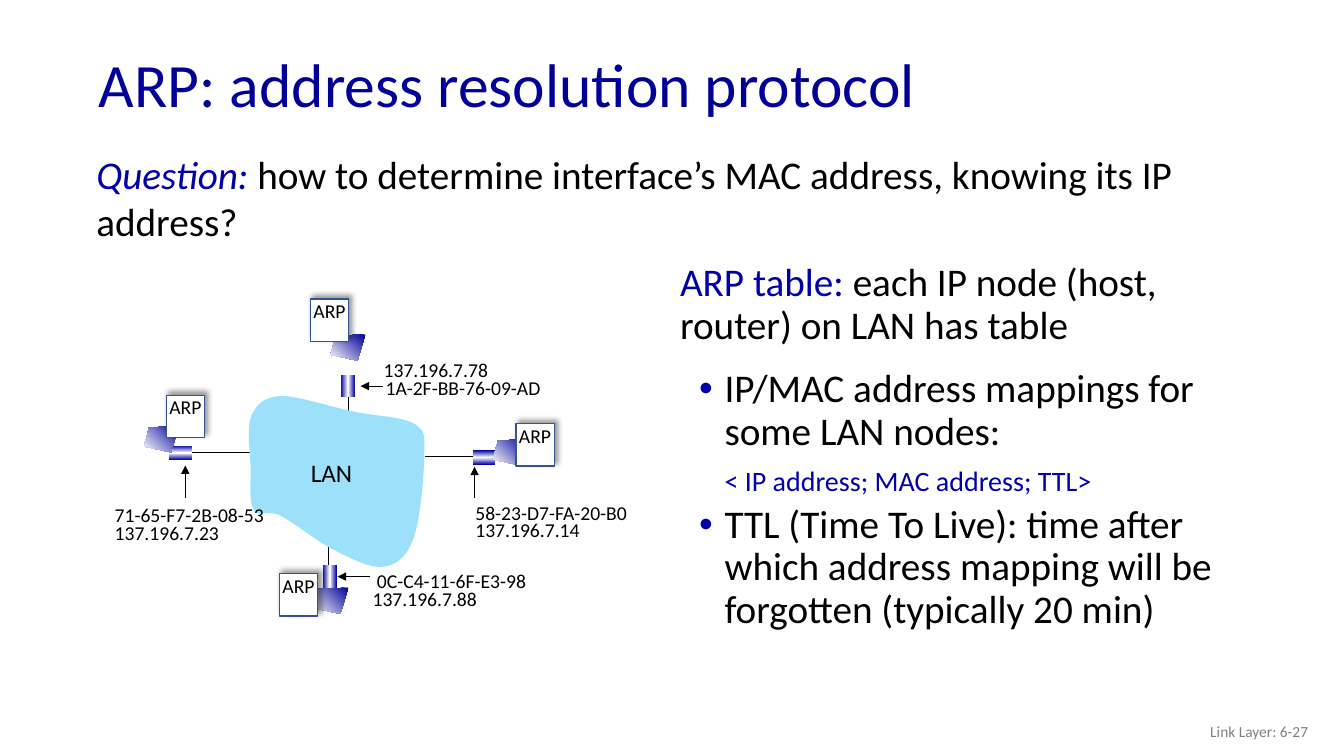
"""Build the slide on ARP, with a LAN diagram and the contents of an ARP table."""
from lxml.etree import SubElement
from pptx import Presentation
from pptx.dml.color import RGBColor
from pptx.enum.shapes import MSO_CONNECTOR, MSO_SHAPE
from pptx.enum.text import MSO_ANCHOR, PP_ALIGN
from pptx.oxml.ns import qn
from pptx.util import Cm, Pt

COLORS = {
    "title": "000099", "accent": "0000A8", "text": "000000", "footer": "808080",
    "lan": "9CE0FA", "white": "FFFFFF", "cache_line": "325491",
}
FONT = "Calibri"

deck = Presentation()
deck.slide_width, deck.slide_height = Cm(33.87), Cm(19.05)
slide = deck.slides.add_slide(deck.slide_layouts[6])
shapes = slide.shapes


def add_text(left, top, width, height, paragraphs, size):
    """Add a text box whose paragraphs are lists of (text, colour name)."""
    frame = shapes.add_textbox(Cm(left), Cm(top), Cm(width), Cm(height)).text_frame
    frame.word_wrap = True
    for index, pieces in enumerate(paragraphs):
        paragraph = frame.add_paragraph() if index else frame.paragraphs[0]
        for text, color in pieces:
            run = paragraph.add_run()
            run.text = text
            run.font.name, run.font.size = FONT, Pt(size)
            run.font.color.rgb = RGBColor.from_string(COLORS[color])
    return frame


def fill_gradient(shape, stops, angle):
    """Fill a shape with evenly spaced gradient stops and no outline."""
    shape.shadow.inherit = False
    shape.line.fill.background()
    shape.fill.gradient()
    shape.fill.gradient_angle = angle
    stop_list = shape._element.spPr.find(qn("a:gradFill")).find(qn("a:gsLst"))
    for stop in list(stop_list):
        stop_list.remove(stop)
    for index, color in enumerate(stops):
        position = str(100000 * index // (len(stops) - 1))
        stop = SubElement(stop_list, qn("a:gs"), pos=position)
        SubElement(stop, qn("a:srgbClr"), val=COLORS[color])


title = add_text(2.24, 0.97, 29.21, 2.49,
                 [[("ARP: address resolution protocol", "title")]], 44)
title.vertical_anchor = MSO_ANCHOR.MIDDLE
title.paragraphs[0].line_spacing = 0.9

footer = add_text(25.6, 17.91, 7.62, 1.02, [[("Link Layer: 6-27", "footer")]], 11)
footer.vertical_anchor = MSO_ANCHOR.MIDDLE
footer.paragraphs[0].alignment = PP_ALIGN.RIGHT

table_intro = add_text(16.89, 6.5, 14.43, 2.64, [[
    ("ARP table: ", "accent"),
    ("each IP node (host, router) on LAN has table", "text")]], 28)
table_intro.paragraphs[0].line_spacing = 0.9

question = add_text(2.18, 3.66, 30.66, 2.64, [[
    ("Question: ", "accent"),
    ("how to determine interface’s MAC address, knowing its IP address?", "text")]], 28)
question.paragraphs[0].runs[0].font.italic = True

links = [
    (4.83, 11.4, 6.83, 11.4, False),
    (8.79, 9.45, 8.79, 10.85, False),
    (8.28, 14.53, 8.28, 13.61, False),
    (12.47, 11.51, 10.72, 11.51, False),
    (11.96, 12.55, 11.96, 11.76, True),
    (9.32, 14.53, 8.51, 14.53, True),
    (4.67, 12.55, 4.67, 11.73, True),
    (9.65, 9.73, 9.09, 9.73, True),
]
for x1, y1, x2, y2, is_arrow in links:
    link = shapes.add_connector(MSO_CONNECTOR.STRAIGHT, Cm(x1), Cm(y1), Cm(x2), Cm(y2))
    link.line.color.rgb = RGBColor.from_string(COLORS["text"])
    link.line.width = Pt(0.75)
    if is_arrow:
        SubElement(link.line._get_or_add_ln(), qn("a:tailEnd"), type="triangle")
    SubElement(link._element.spPr, qn("a:effectLst"))

lan_start = (7.06, 9.98)
lan_curves = [
    ((6.63, 10.01), (6.45, 10.21), (6.32, 10.52)),
    ((6.22, 10.8), (6.3, 11.4), (6.32, 11.79)),
    ((6.32, 12.17), (6.27, 12.65), (6.4, 12.85)),
    ((6.53, 13.06), (6.73, 12.83), (7.09, 13)),
    ((7.42, 13.18), (8.05, 13.69), (8.48, 13.89)),
    ((8.94, 14.12), (9.4, 14.35), (9.73, 14.27)),
    ((10.03, 14.22), (10.29, 13.97), (10.44, 13.51)),
    ((10.59, 13.06), (10.69, 11.99), (10.69, 11.51)),
    ((10.69, 11.05), (10.77, 10.9), (10.46, 10.69)),
    ((10.16, 10.49), (9.42, 10.49), (8.86, 10.36)),
    ((8.28, 10.24), (7.47, 9.96), lan_start),
]
STEPS = 10
lan_points = []
curve_start = lan_start
for control1, control2, curve_end in lan_curves:
    for step in range(1, STEPS + 1):
        t = step / STEPS
        lan_points.append(tuple(
            Cm((1 - t) ** 3 * a + 3 * (1 - t) ** 2 * t * b + 3 * (1 - t) * t ** 2 * c + t ** 3 * d)
            for a, b, c, d in zip(curve_start, control1, control2, curve_end)))
    curve_start = curve_end
lan_builder = shapes.build_freeform(Cm(lan_start[0]), Cm(lan_start[1]))
lan_builder.add_line_segments(lan_points)
lan = lan_builder.convert_to_shape()
lan.shadow.inherit = False
lan.fill.solid()
lan.fill.fore_color.rgb = RGBColor.from_string(COLORS["lan"])
lan.line.fill.background()

lan_label = add_text(5.94, 11.4, 4.83, 1.02, [[("LAN", "text")]], 18)
lan_label.paragraphs[0].alignment = PP_ALIGN.CENTER

addresses = [
    ("1A-2F-BB-76-09-AD", 9.47, 9.35), ("137.196.7.78", 9.42, 8.89),
    ("58-23-D7-FA-20-B0", 11.73, 12.5), ("137.196.7.14", 11.73, 12.93),
    ("0C-C4-11-6F-E3-98", 9.25, 14.2), ("137.196.7.88", 9.14, 14.66),
    ("71-65-F7-2B-08-53", 2.64, 12.55), ("137.196.7.23", 2.64, 13),
]
for address, left, top in addresses:
    width = 4.8 if "-" in address else 3.5
    add_text(left, top, width, 0.86, [[(address, "text")]], 14)

interfaces = [(8.59, 9.45, 0), (4.37, 11.13, 90), (8.13, 14.25, 0), (12.01, 11.25, 90)]
for left, top, rotation in interfaces:
    interface = shapes.add_shape(MSO_SHAPE.RECTANGLE, Cm(left), Cm(top), Cm(0.36), Cm(0.56))
    interface.rotation = rotation
    fill_gradient(interface, ["accent", "white", "accent"], 0)

host_corners = [(0.88, 0), (0.13, 0.03), (0, 0.51), (0.68, 0.66)]
for left, top in [(8.33, 8.43), (3.63, 10.74), (12.42, 11.07), (7.9, 14.81)]:
    corners = [(Cm(left + dx), Cm(top + dy)) for dx, dy in host_corners]
    host_builder = shapes.build_freeform(*corners[0])
    host_builder.add_line_segments(corners[1:])
    fill_gradient(host_builder.convert_to_shape(), ["title", "white"], 225)

for left, top in [(7.82, 7.54), (7.04, 14.45), (4.19, 9.96), (13, 10.67)]:
    cache = shapes.add_shape(MSO_SHAPE.RECTANGLE, Cm(left), Cm(top), Cm(0.97), Cm(1.07))
    cache.fill.solid()
    cache.fill.fore_color.rgb = RGBColor.from_string(COLORS["white"])
    cache.line.color.rgb = RGBColor.from_string(COLORS["cache_line"])
    cache.line.width = Pt(1)
    cache.shadow.inherit = False
    effects = cache._element.spPr.find(qn("a:effectLst"))
    shadow = SubElement(effects, qn("a:outerShdw"), blurRad=str(Pt(4)), dist=str(Pt(3)),
                        dir="18900000", algn="bl", rotWithShape="0")
    shadow_color = SubElement(shadow, qn("a:srgbClr"), val=COLORS["text"])
    SubElement(shadow_color, qn("a:alpha"), val="40000")
    label = cache.text_frame
    label.text = "ARP"
    label.word_wrap = False
    label.vertical_anchor = MSO_ANCHOR.TOP
    label.margin_left = label.margin_right = label.margin_top = label.margin_bottom = 0
    label.paragraphs[0].alignment = PP_ALIGN.CENTER
    label_font = label.paragraphs[0].runs[0].font
    label_font.name, label_font.size = FONT, Pt(14)
    label_font.color.rgb = RGBColor.from_string(COLORS["text"])

table_notes = add_text(16.08, 9.17, 15.19, 8.08, [
    [("IP/MAC address mappings for some LAN nodes:", "text")],
    [("< IP address; MAC address; TTL>", "accent")],
    [("TTL (Time To Live): time after which address mapping will be "
      "forgotten (typically 20 min)", "text")]], 28)
mappings, entry_format, lifetime = table_notes.paragraphs
for note in table_notes.paragraphs:
    note.line_spacing = 0.9
    note._p.get_or_add_pPr().set("marL", str(Cm(1.93)))
for note in (mappings, lifetime):
    properties = note._p.get_or_add_pPr()
    properties.set("indent", str(Cm(-0.64)))
    bullet_color = SubElement(properties, qn("a:buClr"))
    SubElement(bullet_color, qn("a:srgbClr"), val=COLORS["accent"])
    SubElement(properties, qn("a:buFont"), typeface="Arial")
    SubElement(properties, qn("a:buChar"), char="•")
entry_format.space_before = Pt(10)
entry_format.runs[0].font.size = Pt(20)
lifetime.space_before = Pt(5)

deck.save("out.pptx")
